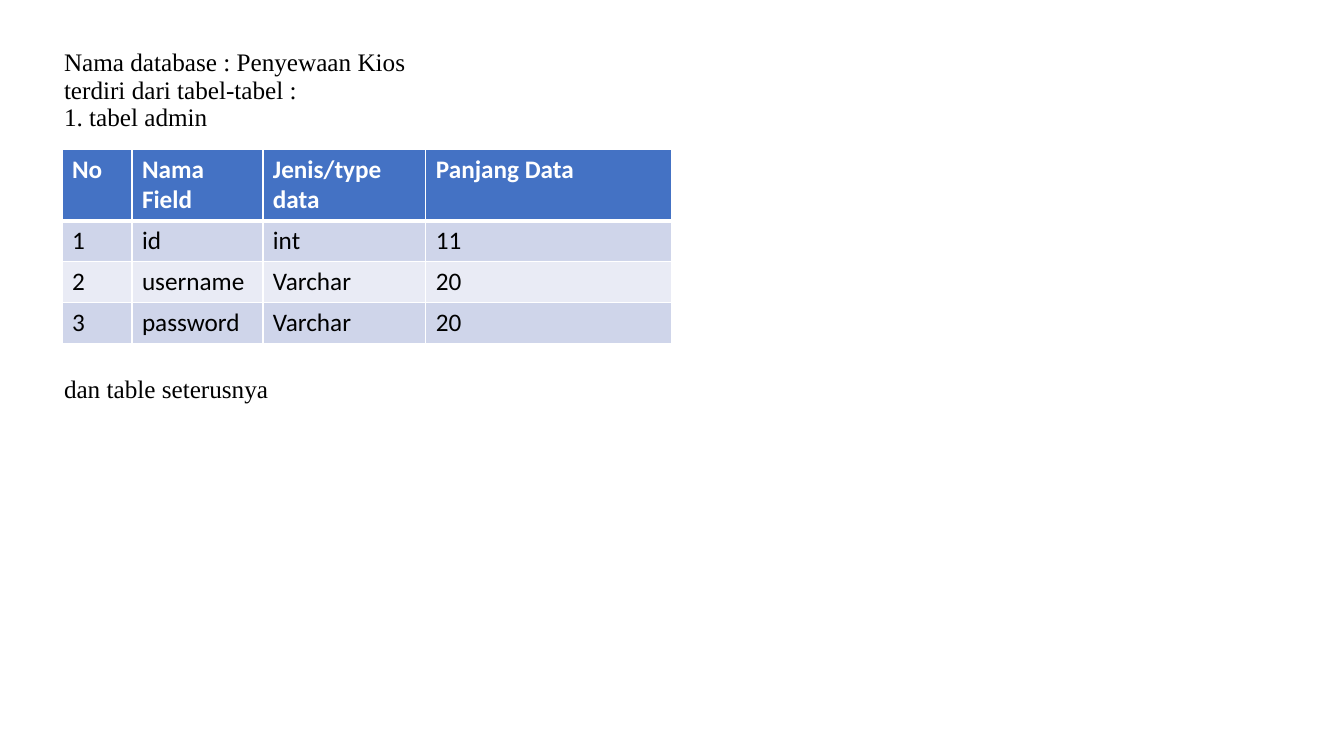
"""Build the slide that describes the admin table of a kiosk rental database."""
from dataclasses import dataclass

from lxml import etree
from pptx import Presentation
from pptx.dml.color import RGBColor
from pptx.enum.text import MSO_ANCHOR, MSO_AUTO_SIZE, PP_ALIGN
from pptx.oxml.ns import qn
from pptx.util import Pt

LEFT = PP_ALIGN.LEFT
TOP = MSO_ANCHOR.TOP
NO_FIT = MSO_AUTO_SIZE.NONE
EMU_PER_PIXEL = 914400 / 100.8
TITLE_ONLY = 5


@dataclass(frozen=True)
class Theme:
    """Colours, fonts and type sizes of the slide."""
    ink: str = "000000"
    white: str = "FFFFFF"
    header: str = "4472C4"
    bands: tuple = ("CFD5EA", "E9EBF5")
    title_font: str = "Times New Roman"
    table_font: str = "Calibri"
    size: int = 18
    thin: int = 1
    thick: int = 3


def px(length):
    """Turn picture pixels into EMU."""
    return round(length * EMU_PER_PIXEL)


def write(paragraph, text, *, font, size, color, bold=False, spacing=None, before=0):
    """Put formatted text into a paragraph."""
    paragraph.alignment = LEFT
    paragraph.line_spacing = spacing
    paragraph.space_before = Pt(before)
    run = paragraph.add_run()
    run.text = text
    run.font.name = font
    run.font.size = Pt(size)
    run.font.bold = bold
    run.font.color.rgb = RGBColor.from_string(color)


class SlideBuilder:
    """Holds the theme and the current slide."""

    def __init__(self, slide, theme):
        """Keep the slide and its theme."""
        self.slide = slide
        self.theme = theme

    def title(self, box, lines, inset):
        """Fill the title placeholder with (text, space before) lines."""
        title = self.slide.shapes.title
        title.left, title.top, title.width, title.height = map(px, box)
        frame = title.text_frame
        frame.word_wrap = True
        frame.auto_size = NO_FIT
        frame.vertical_anchor = TOP
        frame.margin_left = frame.margin_right = frame.margin_top = px(inset)
        for index, (text, before) in enumerate(lines):
            paragraph = frame.add_paragraph() if index else frame.paragraphs[0]
            write(paragraph, text, font=self.theme.title_font, size=self.theme.size,
                  color=self.theme.ink, spacing=0.9, before=before)

    def borders(self, cell, widths):
        """Draw the cell borders, given as widths in points by side."""
        properties = cell._tc.get_or_add_tcPr()
        for index, (side, width) in enumerate(widths.items()):
            line = etree.Element(qn(f"a:ln{side}"), w=str(Pt(width)))
            fill = etree.SubElement(line, qn("a:solidFill"))
            etree.SubElement(fill, qn("a:srgbClr"), val=self.theme.white)
            properties.insert(index, line)

    def table(self, left, top, widths, heights, rows):
        """Add a table with a header row and banded body rows."""
        theme = self.theme
        table = self.slide.shapes.add_table(
            len(rows), len(widths), px(left), px(top), px(sum(widths)), px(sum(heights))).table
        for column, width in zip(table.columns, widths):
            column.width = px(width)
        for index, (row, height, values) in enumerate(zip(table.rows, heights, rows)):
            row.height = px(height)
            is_header = index == 0
            background = theme.header if is_header else theme.bands[(index - 1) % 2]
            sides = {"L": theme.thin, "R": theme.thin,
                     "T": theme.thick if index == 1 else theme.thin,
                     "B": theme.thick if is_header else theme.thin}
            for cell, value in zip(row.cells, values):
                cell.fill.solid()
                cell.fill.fore_color.rgb = RGBColor.from_string(background)
                self.borders(cell, sides)
                write(cell.text_frame.paragraphs[0], value, font=theme.table_font,
                      size=theme.size, bold=is_header,
                      color=theme.white if is_header else theme.ink)


def main():
    """Build and save the presentation."""
    deck = Presentation()
    deck.slide_width, deck.slide_height = px(1344), px(756)
    builder = SlideBuilder(deck.slides.add_slide(deck.slide_layouts[TITLE_ONLY]), Theme())
    builder.title((54, 40, 1228, 645), [
        ("Nama database : Penyewaan Kios", 0),
        ("terdiri dari tabel-tabel :", 0),
        ("1. tabel admin", 0),
        ("dan table seterusnya", 175),
    ], inset=10)
    builder.table(62, 149, [70, 131, 163, 246], [70, 41, 41, 41], [
        ("No", "Nama Field", "Jenis/type data", "Panjang Data"),
        ("1", "id", "int", "11"),
        ("2", "username", "Varchar", "20"),
        ("3", "password", "Varchar", "20"),
    ])
    deck.save("out.pptx")


main()
